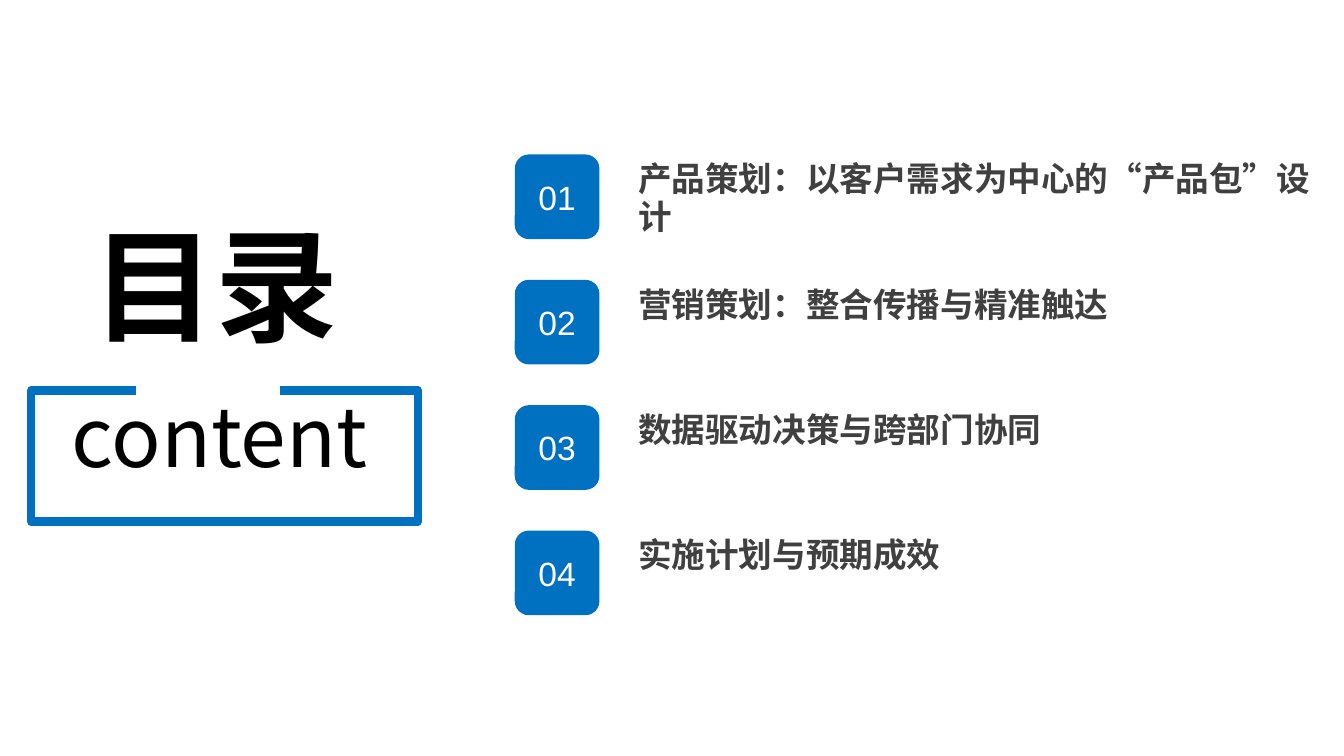
import pptx
import pptx.util
import pptx.dml.color
import pptx.enum.shapes
import pptx.enum.text
import pptx.oxml
import pptx.oxml.ns
from dataclasses import dataclass

Cm = pptx.util.Cm
Pt = pptx.util.Pt
Color = pptx.dml.color.RGBColor
Align = pptx.enum.text.PP_ALIGN
Anchor = pptx.enum.text.MSO_ANCHOR


@dataclass(frozen=True)
class Theme:
    accent: Color = Color(0x00, 0x70, 0xC0)
    heading: Color = Color(0, 0, 0)
    body: Color = Color(0x40, 0x40, 0x40)
    light: Color = Color(255, 255, 255)
    title_size: int = 66
    subtitle_size: int = 44
    body_size: int = 18
    frame_width: float = 4.5
    latin: str = "Arial"
    asian: str = "Noto Sans CJK SC"


THEME = Theme()
ITEMS = [
    ("产品策划：以客户需求为中心的“产品包”设计", 13.21, True),
    ("营销策划：整合传播与精准触达", 9.4, False),
    ("数据驱动决策与跨部门协同", 8.13, False),
    ("实施计划与预期成效", 6.22, False),
]
FIRST_TOP, ROW_STEP = 2.92, 2.37
BADGE_LEFT, BADGE_SIZE = 9.73, 1.6
LABEL_LEFT, LABEL_HEIGHT = 11.81, 1.12


def write(box, text, size, color, latin, bold=False, wrap=False,
          spacing=1.0, align=Align.LEFT, anchor=Anchor.TOP):
    frame = box.text_frame
    frame.text = text
    frame.word_wrap = wrap
    frame.auto_size = pptx.enum.text.MSO_AUTO_SIZE.NONE
    frame.vertical_anchor = anchor
    para = frame.paragraphs[0]
    para.alignment = align
    para.line_spacing = spacing
    para.space_before = Pt(0)
    for span in para.runs:
        span.font.size = Pt(size)
        span.font.bold = bold
        span.font.name = latin
        span.font.color.rgb = color
        asian = pptx.oxml.parse_xml(
            f'<a:ea {pptx.oxml.ns.nsdecls("a")} typeface="{THEME.asian}"/>')
        span.font._element.append(asian)


def add_text(page, left, top, width, height, text, size, color, latin, **style):
    box = page.shapes.add_textbox(Cm(left), Cm(top), Cm(width), Cm(height))
    write(box, text, size, color, latin, **style)


def set_title(page, text):
    title = page.shapes.title
    title.left, title.top = Cm(1.5), Cm(4.14)
    title.width, title.height = Cm(5.2), Cm(3.07)
    write(title, text, THEME.title_size, THEME.heading, THEME.asian,
          bold=True, spacing=0.9)


def add_open_frame(page, left, top, right, bottom, gap_left, gap_right):
    builder = page.shapes.build_freeform(Cm(gap_right), Cm(top))
    corners = [(right, top), (right, bottom), (left, bottom),
               (left, top), (gap_left, top)]
    builder.add_line_segments([(Cm(x), Cm(y)) for x, y in corners], close=False)
    outline = builder.convert_to_shape()
    outline.shadow.inherit = False
    outline.fill.background()
    outline.line.color.rgb = THEME.accent
    outline.line.width = Pt(THEME.frame_width)
    outline.line._get_or_add_ln().append(
        pptx.oxml.parse_xml(f'<a:round {pptx.oxml.ns.nsdecls("a")}/>'))


def add_badge(page, top, number):
    badge = page.shapes.add_shape(
        pptx.enum.shapes.MSO_SHAPE.ROUNDED_RECTANGLE,
        Cm(BADGE_LEFT), Cm(top), Cm(BADGE_SIZE), Cm(BADGE_SIZE))
    badge.shadow.inherit = False
    badge.fill.solid()
    badge.fill.fore_color.rgb = THEME.accent
    badge.line.fill.background()
    write(badge, f"{number:02d}", THEME.body_size, THEME.light, THEME.latin,
          wrap=True, align=Align.CENTER, anchor=Anchor.MIDDLE)


def main():
    deck = pptx.Presentation()
    deck.slide_width, deck.slide_height = Cm(25.4), Cm(14.29)
    page = deck.slides.add_slide(deck.slide_layouts.get_by_name("Title Only"))

    set_title(page, "目录")
    add_open_frame(page, left=0.59, top=7.38, right=7.9, bottom=9.86,
                   gap_left=2.57, gap_right=5.29)
    add_text(page, 1.1, 7.38, 6.02, 2.39, "content", THEME.subtitle_size,
             THEME.heading, THEME.asian, spacing=0.9)

    for index, (text, width, wrap) in enumerate(ITEMS):
        top = FIRST_TOP + index * ROW_STEP
        add_badge(page, top, index + 1)
        add_text(page, LABEL_LEFT, top, width, LABEL_HEIGHT, text,
                 THEME.body_size, THEME.body, THEME.latin,
                 bold=True, wrap=wrap, spacing=0.95)

    deck.save("out.pptx")


if __name__ == "__main__":
    main()
